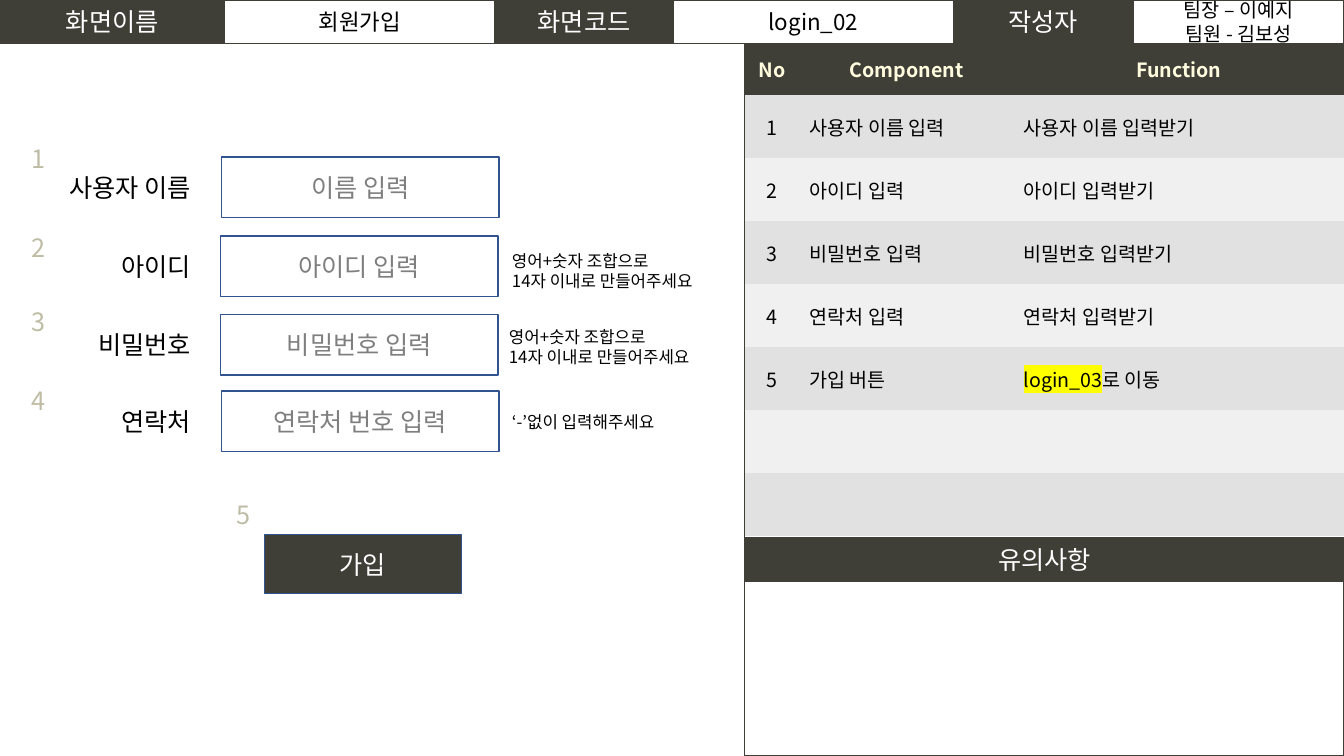
import pptx
import pptx.util
import pptx.dml.color
import pptx.enum.shapes
import pptx.enum.text
import pptx.oxml.ns
import lxml.etree

Pt = pptx.util.Pt
Align = pptx.enum.text.PP_ALIGN
Middle = pptx.enum.text.MSO_ANCHOR.MIDDLE
Shape = pptx.enum.shapes.MSO_SHAPE

# Content
FONT = "Noto Sans CJK KR"
DARK, WHITE, BLACK = "403F37", "FFFFFF", "000000"
NAVY, GREY, SAND, CREAM = "31538F", "7F7F7F", "BFBCA6", "FFFBDE"
BANDS = ["E1E1E1", "F0F0F0"]
NO_STYLE = "{2D5ABB26-0587-4C30-8999-92F81FD0307C}"

HEADER_EDGES = [0, 160.5, 353.5, 481, 681, 809.5, 960]
HEADER = [
    (["화면이름"], 18),
    (["회원가입"], 16),
    (["화면코드"], 18),
    (["login_02"], 16),
    (["작성자"], 18),
    (["팀장 – 이예지", "팀원 - 김보성"], 14),
]
HEADER_HEIGHT = 31

# label, label width, prompt, field left, field top, number top
FIELDS = [
    ("사용자 이름", 111.6, "이름 입력", 158.4, 112.3, 98.6),
    ("아이디", 69, "아이디 입력", 157.7, 168.5, 162.7),
    ("비밀번호", 87, "비밀번호 입력", 157.7, 224.6, 215.3),
    ("연락처", 69, "연락처 번호 입력", 158.4, 279.4, 271.4),
]
RULE = ["영어+숫자 조합으로", "14자 이내로 만들어주세요"]
HINTS = [
    (RULE, 358.6, 175.7, 157.7, 36),
    (RULE, 356.4, 229.7, 157.7, 36),
    (["‘-’없이 입력해주세요"], 358.6, 290.9, 126, 21.6),
]
COMPONENTS = [
    ("No", "Component", "Function"),
    ("1", "사용자 이름 입력", "사용자 이름 입력받기"),
    ("2", "아이디 입력", "아이디 입력받기"),
    ("3", "비밀번호 입력", "비밀번호 입력받기"),
    ("4", "연락처 입력", "연락처 입력받기"),
    ("5", "가입 버튼", ("login_03", "로 이동")),
    ("", "", ""),
    ("", "", ""),
]
COLUMNS = [39, 153, 236]
HEAD_ROW, BODY_ROW = 37, 45
PANEL_LEFT, PANEL_WIDTH, NOTES_TOP = 532, 428, 384

deck = pptx.Presentation()
deck.slide_width, deck.slide_height = Pt(960), Pt(540)
page = deck.slides.add_slide(deck.slide_layouts[6])


# Helpers
def rgb(code):
    return pptx.dml.color.RGBColor.from_string(code)


def add_xml(parent, tag):
    return lxml.etree.SubElement(parent, pptx.oxml.ns.qn(tag))


def add_span(para, text, size, color, bold=False, highlight=None):
    span = para.add_run()
    span.text = text
    span.font.size = Pt(size)
    span.font.bold = bold
    span.font.color.rgb = rgb(color)
    props = span.font._element
    if highlight:
        add_xml(add_xml(props, "a:highlight"), "a:srgbClr").set("val", highlight)
    span.font.name = FONT
    add_xml(props, "a:ea").set("typeface", FONT)


def write(frame, lines, size, color, align):
    for index, line in enumerate(lines):
        para = frame.add_paragraph() if index else frame.paragraphs[0]
        para.alignment = align
        add_span(para, line, size, color)


def add_box(left, top, width, height, fill, line, lines=(), size=18, color=WHITE):
    box = page.shapes.add_shape(Shape.RECTANGLE, Pt(left), Pt(top), Pt(width), Pt(height))
    box.shadow.inherit = False
    if fill:
        box.fill.solid()
        box.fill.fore_color.rgb = rgb(fill)
    else:
        box.fill.background()
    box.line.color.rgb = rgb(line)
    box.line.width = Pt(1)
    box.text_frame.vertical_anchor = Middle
    write(box.text_frame, lines, size, color, Align.CENTER)


def add_label(left, top, width, height, lines, size, color, align=Align.LEFT):
    box = page.shapes.add_textbox(Pt(left), Pt(top), Pt(width), Pt(height))
    box.text_frame.word_wrap = False
    box.text_frame.auto_size = pptx.enum.text.MSO_AUTO_SIZE.SHAPE_TO_FIT_TEXT
    write(box.text_frame, lines, size, color, align)


def add_rule(start_x, start_y, end_x, end_y, color):
    rule = page.shapes.add_connector(
        pptx.enum.shapes.MSO_CONNECTOR.STRAIGHT,
        Pt(start_x), Pt(start_y), Pt(end_x), Pt(end_y))
    rule.line.color.rgb = rgb(color)
    rule.line.width = Pt(0.5)
    add_xml(rule._element.spPr, "a:effectLst")


# Header strip: dark captions alternate with white values
add_rule(188.6, HEADER_HEIGHT, 955.4, HEADER_HEIGHT, "4472C4")
for index, (lines, size) in enumerate(HEADER):
    left, right = HEADER_EDGES[index:index + 2]
    fill, color = (WHITE, BLACK) if index % 2 else (DARK, WHITE)
    add_box(left, 0, right - left, HEADER_HEIGHT, fill, DARK, lines, size, color)

# Notes panel
notes_body = NOTES_TOP + HEADER_HEIGHT
add_box(PANEL_LEFT, NOTES_TOP, PANEL_WIDTH, HEADER_HEIGHT, DARK, DARK, ["유의사항"])
add_box(PANEL_LEFT, notes_body, PANEL_WIDTH, 540 - notes_body, WHITE, DARK)

# Component table
heights = [HEAD_ROW] + [BODY_ROW] * (len(COMPONENTS) - 1)
table = page.shapes.add_table(
    len(heights), len(COLUMNS), Pt(PANEL_LEFT), Pt(HEADER_HEIGHT),
    Pt(PANEL_WIDTH), Pt(sum(heights))).table
table.first_row = table.horz_banding = False
table._tbl.tblPr.find(pptx.oxml.ns.qn("a:tableStyleId")).text = NO_STYLE
for column, width in zip(table.columns, COLUMNS):
    column.width = Pt(width)
for r, values in enumerate(COMPONENTS):
    table.rows[r].height = Pt(heights[r])
    for c, value in enumerate(values):
        cell = table.cell(r, c)
        cell.fill.solid()
        cell.fill.fore_color.rgb = rgb(BANDS[(r - 1) % 2] if r else DARK)
        cell.vertical_anchor = Middle
        para = cell.text_frame.paragraphs[0]
        para.alignment = Align.CENTER if r == 0 or c == 0 else Align.LEFT
        if isinstance(value, tuple):
            target, rest = value
            add_span(para, target, 14, BLACK, highlight="FFFF00")
            add_span(para, rest, 14, BLACK)
        elif value:
            add_span(para, value, 14, BLACK if r else CREAM, bold=r == 0)

add_rule(PANEL_LEFT, HEADER_HEIGHT, PANEL_LEFT, 540, DARK)

# Sign-up form
for number, (label, width, prompt, left, top, number_top) in enumerate(FIELDS, 1):
    add_box(left, top, 198, 43.2, None, NAVY, [prompt], 18, GREY)
    add_label(143.5 - width, top + 7.2, width, 29, [label], 18, BLACK, Align.RIGHT)
    add_label(15.1, number_top, 24.5, 29, [str(number)], 18, SAND)
for lines, left, top, width, height in HINTS:
    add_label(left, top, width, height, lines, 12, BLACK)

# Join button
add_box(188.8, 382, 140.8, 42, DARK, "325491", ["가입"])
add_label(162, 353, 24.5, 29, ["5"], 18, SAND)

deck.save("out.pptx")
